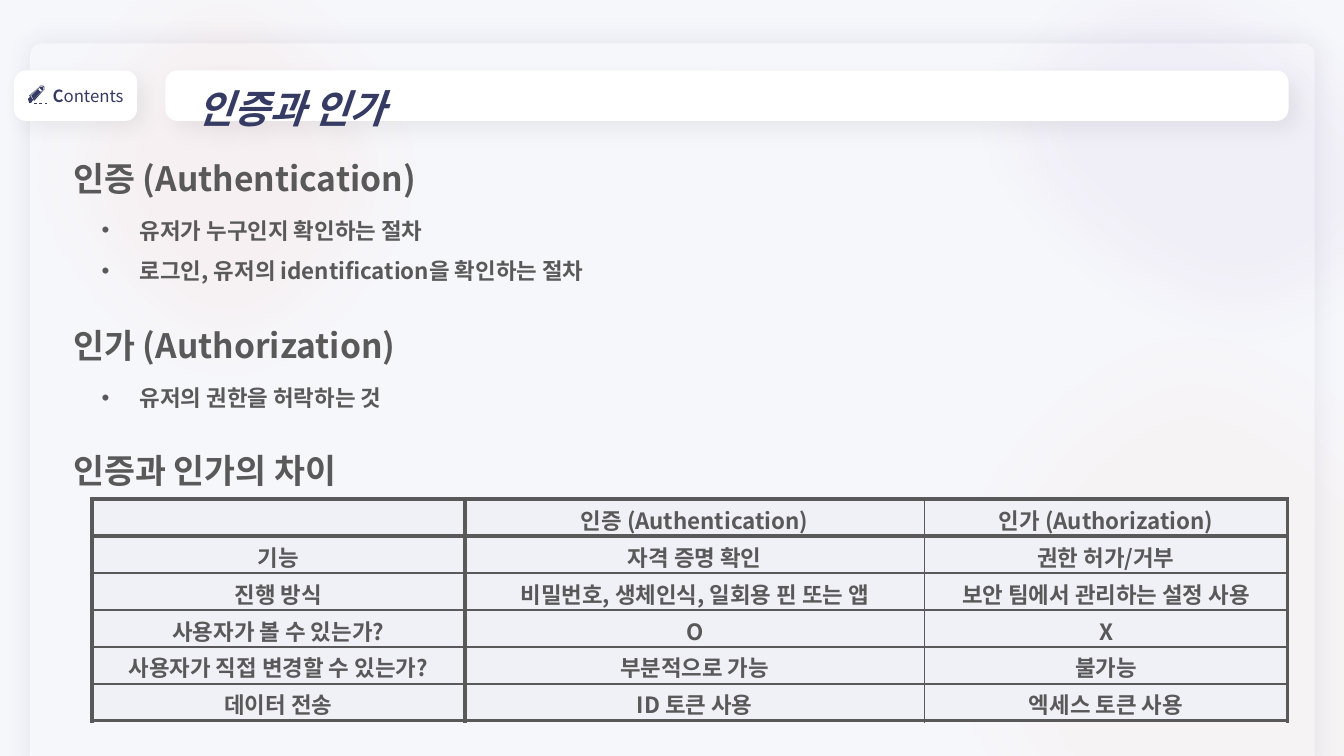
from dataclasses import dataclass
from typing import Any, NamedTuple, Optional

import lxml.etree
import pptx
import pptx.dml.color
import pptx.enum.shapes
import pptx.enum.text
import pptx.oxml.ns
import pptx.util

Inches = pptx.util.Inches
Pt = pptx.util.Pt
qn = pptx.oxml.ns.qn
Kind = pptx.enum.shapes.MSO_SHAPE
Align = pptx.enum.text.PP_ALIGN
Middle = pptx.enum.text.MSO_ANCHOR.MIDDLE


@dataclass(frozen=True)
class Theme:
    font: str = "Noto Sans CJK KR"
    backdrop: str = "F6F7FB"
    card: str = "FFFFFF"
    navy: str = "363B64"
    body: str = "595959"
    cell: str = "F0F0F7"
    shade: str = "000000"
    title_size: float = 28
    heading_size: float = 24
    body_size: float = 16
    tab_size: float = 12
    thick: float = 3
    thin: float = 1.5


THEME = Theme()


class Box(NamedTuple):
    left: float
    top: float
    width: float
    height: float


class Shadow(NamedTuple):
    color: str
    opacity: float
    blur: float
    distance: float
    angle: float


class Panel(NamedTuple):
    kind: Any
    box: Box
    color: str
    corners: tuple[float, ...] = ()
    shadow: Optional[Shadow] = None
    opacity: float = 100
    rotation: float = 0
    soft_edge: float = 0


class Section(NamedTuple):
    heading: str
    top: float
    bullets: tuple[str, ...] = ()
    bullets_box: Optional[Box] = None


LIFT = Shadow(THEME.shade, 5, 15, 8, 45)
PANELS = (
    Panel(Kind.ROUND_2_SAME_RECTANGLE, Box(0.3, 0.43, 12.74, 7.21), THEME.backdrop,
          (0.016, 0), Shadow(THEME.navy, 10, 18, 0, 0)),
    Panel(Kind.OVAL, Box(0, -0.76, 4.5, 4.91), "FD9374", opacity=7, soft_edge=50),
    Panel(Kind.OVAL, Box(9.7, -1.29, 4.5, 5.63), "7030A0", opacity=4, rotation=291.5, soft_edge=50),
    Panel(Kind.OVAL, Box(9.01, 2.83, 6.26, 7.27), "FC9974", opacity=4, rotation=339.8, soft_edge=50),
)
CONTENTS_TAB = Panel(Kind.ROUNDED_RECTANGLE, Box(0.14, 0.7, 1.22, 0.5), THEME.card, (0.237,), LIFT)
TITLE_BAR = Panel(Kind.ROUNDED_RECTANGLE, Box(1.64, 0.7, 11.14, 0.5), THEME.card, (0.237,), LIFT)
PENCIL_PARTS = (
    (((29, 102), (31, 102), (33, 99), (34, 100), (43, 90), (44, 89), (44, 86), (43, 85), (40, 85),
      (39, 86), (29, 95), (30, 96), (28, 98), (28, 99)),
     ((39, 86), (41, 85), (43, 86), (44, 88), (43, 90), (33, 99), (30, 95))),
    (((33, 98), (34, 98), (42, 90), (43, 89), (43, 87), (42, 86), (40, 86), (39, 87), (37, 89), (31, 95)),
     ((39, 87), (42, 90), (40, 91), (38, 89))),
)
PENCIL_DASHES = ((0.34, 0.37), (0.39, 0.42), (0.45, 0.47))
SECTIONS = (
    Section("인증 (Authentication)", 1.32,
            ("유저가 누구인지 확인하는 절차", "로그인, 유저의 identification을 확인하는 절차"),
            Box(0.91, 1.97, 11.5, 0.86)),
    Section("인가 (Authorization)", 2.97, ("유저의 권한을 허락하는 것",), Box(0.91, 3.63, 11.5, 0.45)),
    Section("인증과 인가의 차이", 4.21),
)
COMPARISON = (
    ("", "인증 (Authentication)", "인가 (Authorization)"),
    ("기능", "자격 증명 확인", "권한 허가/거부"),
    ("진행 방식", "비밀번호, 생체인식, 일회용 핀 또는 앱", "보안 팀에서 관리하는 설정 사용"),
    ("사용자가 볼 수 있는가?", "O", "X"),
    ("사용자가 직접 변경할 수 있는가?", "부분적으로 가능", "불가능"),
    ("데이터 전송", "ID 토큰 사용", "엑세스 토큰 사용"),
)
COMPARISON_BOX = Box(0.91, 4.95, 11.86, 2.2)
COLUMN_WIDTHS = (3.7, 4.56, 3.6)


def rgb(color: str) -> pptx.dml.color.RGBColor:
    return pptx.dml.color.RGBColor.from_string(color)


def inches(box: Box) -> list[int]:
    return [Inches(length) for length in box]


def child(parent: Any, tag: str, **attributes: Any) -> Any:
    return lxml.etree.SubElement(parent, qn(tag), {key: str(value) for key, value in attributes.items()})


def paint(shape: Any, color: str) -> None:
    shape.shadow.inherit = False
    shape.fill.solid()
    shape.fill.fore_color.rgb = rgb(color)
    shape.line.fill.background()


def add_panel(slide: Any, panel: Panel) -> Any:
    shape = slide.shapes.add_shape(panel.kind, *inches(panel.box))
    paint(shape, panel.color)
    shape.rotation = panel.rotation
    for index, corner in enumerate(panel.corners):
        shape.adjustments[index] = corner
    properties = shape._element.spPr
    effects = properties.find(qn("a:effectLst"))
    if panel.opacity < 100:
        child(properties.find(".//" + qn("a:srgbClr")), "a:alpha", val=panel.opacity * 1000)
    if panel.shadow:
        cast = panel.shadow
        outer = child(effects, "a:outerShdw", blurRad=Pt(cast.blur), dist=Pt(cast.distance),
                      dir=cast.angle * 60000, algn="ctr", rotWithShape=0)
        child(child(outer, "a:srgbClr", val=cast.color), "a:alpha", val=cast.opacity * 1000)
    if panel.soft_edge:
        child(effects, "a:softEdge", rad=Pt(panel.soft_edge))
    return shape


def add_run(paragraph: Any, text: str, size: float, color: str, bold: bool = True, italic: bool = False) -> None:
    run = paragraph.add_run()
    run.text = text
    run.font.size = Pt(size)
    run.font.bold = bold
    run.font.italic = italic
    run.font.color.rgb = rgb(color)
    run.font.name = THEME.font
    child(run._r.get_or_add_rPr(), "a:ea", typeface=THEME.font)


def add_lines(slide: Any, box: Box, lines: tuple[str, ...], size: float, bulleted: bool = False) -> None:
    frame = slide.shapes.add_textbox(*inches(box)).text_frame
    frame.word_wrap = True
    frame.auto_size = pptx.enum.text.MSO_AUTO_SIZE.SHAPE_TO_FIT_TEXT
    for index, line in enumerate(lines):
        paragraph = frame.add_paragraph() if index else frame.paragraphs[0]
        paragraph.line_spacing = 1.5
        if bulleted:
            properties = paragraph._p.get_or_add_pPr()
            properties.set("marL", str(Inches(0.38)))
            properties.set("indent", str(-Inches(0.38)))
            child(properties, "a:buFont", typeface="Arial")
            child(properties, "a:buChar", char="•")
        add_run(paragraph, line, size, THEME.body)


def add_pencil(slide: Any) -> None:
    for contours in PENCIL_PARTS:
        first, *others = contours
        builder = slide.shapes.build_freeform(*first[0], scale=Inches(0.01))
        builder.add_line_segments(first[1:], close=True)
        for contour in others:
            builder.move_to(*contour[0])
            builder.add_line_segments(contour[1:], close=True)
        paint(builder.convert_to_shape(), THEME.navy)
    for start, end in PENCIL_DASHES:
        dash = slide.shapes.add_connector(pptx.enum.shapes.MSO_CONNECTOR.STRAIGHT, Inches(start),
                                          Inches(1.02), Inches(end), Inches(1.02))
        dash.line.color.rgb = rgb(THEME.navy)
        dash.line.width = Pt(0.25)
        child(dash._element.spPr, "a:effectLst")


def set_borders(cell: Any, thick_sides: dict[str, bool]) -> None:
    properties = cell._tc.get_or_add_tcPr()
    for side, is_thick in thick_sides.items():
        border = child(properties, f"a:ln{side}", w=Pt(THEME.thick if is_thick else THEME.thin))
        child(child(border, "a:solidFill"), "a:srgbClr", val=THEME.body)


def add_comparison(slide: Any) -> None:
    row_count, column_count = len(COMPARISON), len(COLUMN_WIDTHS)
    table = slide.shapes.add_table(row_count, column_count, *inches(COMPARISON_BOX)).table
    table.horz_banding = False
    for column, width in zip(table.columns, COLUMN_WIDTHS):
        column.width = Inches(width)
    for r, row in enumerate(COMPARISON):
        for c, text in enumerate(row):
            cell = table.cell(r, c)
            set_borders(cell, {"L": c < 2, "R": c != 1, "T": r < 2, "B": r in (0, row_count - 1)})
            cell.fill.solid()
            cell.fill.fore_color.rgb = rgb(THEME.cell)
            cell.vertical_anchor = Middle
            cell.margin_top, cell.margin_bottom = Inches(0.04), 0
            paragraph = cell.text_frame.paragraphs[0]
            paragraph.alignment = Align.CENTER
            paragraph.font.size = Pt(THEME.body_size)
            if text:
                add_run(paragraph, text, THEME.body_size, THEME.body)


def main() -> None:
    deck = pptx.Presentation()
    deck.slide_width, deck.slide_height = Inches(13.33), Inches(7.5)
    slide = deck.slides.add_slide(deck.slide_layouts[6])
    slide.background.fill.solid()
    slide.background.fill.fore_color.rgb = rgb(THEME.backdrop)
    for panel in PANELS:
        add_panel(slide, panel)

    contents = add_panel(slide, CONTENTS_TAB).text_frame
    contents.vertical_anchor = Middle
    contents.paragraphs[0].alignment = Align.RIGHT
    add_run(contents.paragraphs[0], "C", THEME.tab_size, THEME.navy)
    add_run(contents.paragraphs[0], "ontents", THEME.tab_size, THEME.navy, bold=False)
    add_pencil(slide)

    title = add_panel(slide, TITLE_BAR).text_frame
    title.vertical_anchor = Middle
    title.margin_left = Inches(0.28)
    title.paragraphs[0].alignment = Align.LEFT
    title.paragraphs[0].line_spacing = 1.5
    add_run(title.paragraphs[0], "인증과 인가", THEME.title_size, THEME.navy, italic=True)

    for section in SECTIONS:
        add_lines(slide, Box(0.63, section.top, 12.31, 0.63), (section.heading,), THEME.heading_size)
        if section.bullets_box:
            add_lines(slide, section.bullets_box, section.bullets, THEME.body_size, bulleted=True)
    add_comparison(slide)
    deck.save("out.pptx")


if __name__ == "__main__":
    main()
